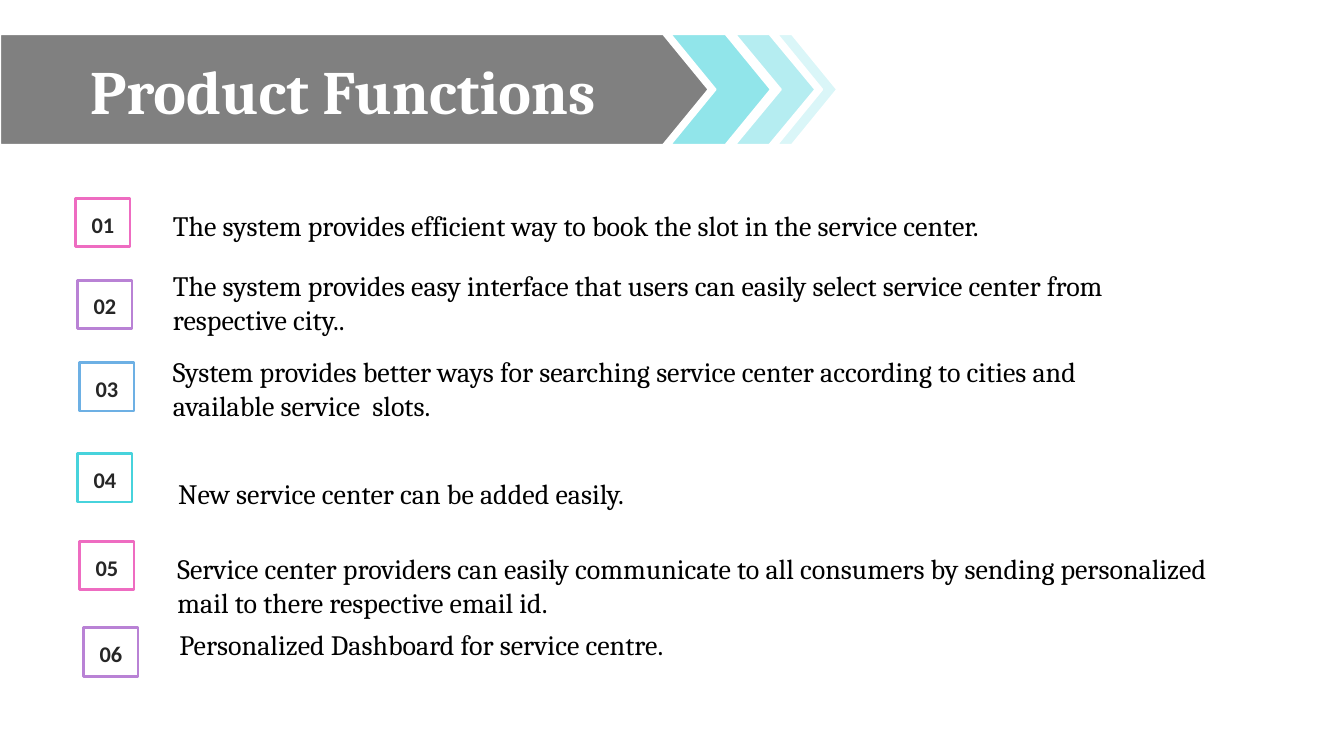
from pptx import Presentation
from pptx.dml.color import RGBColor
from pptx.enum.shapes import MSO_SHAPE
from pptx.enum.text import MSO_ANCHOR, PP_ALIGN
from pptx.util import Cm, Pt

RECT, PENTAGON, CHEVRON = MSO_SHAPE.RECTANGLE, MSO_SHAPE.PENTAGON, MSO_SHAPE.CHEVRON
LEFT, CENTER = PP_ALIGN.LEFT, PP_ALIGN.CENTER
TOP, MIDDLE = MSO_ANCHOR.TOP, MSO_ANCHOR.MIDDLE

# Content
TITLE = "Product Functions"
# left, width, point depth, fill (cm)
CHEVRONS = [
    (18.52, 2.03, 0.57, "B5EDF1"),
    (19.58, 1.52, 0.75, "DAF6F8"),
    (16.89, 2.54, 0.45, "91E5EA"),
]
# text, lines, number box (left, top), text box (left, top, width) in cm
FUNCTIONS = [
    ("The system provides efficient way to book the slot in the service center.",
     1, (1.91, 5.0), (4.11, 5.13, 27.58)),
    ("The system provides easy interface that users can easily select "
     "service center from respective city..",
     2, (1.96, 7.06), (4.11, 6.65, 24.64)),
    ("System provides better ways for searching service center according "
     "to cities and available service  slots.",
     2, (2.01, 9.14), (4.11, 8.81, 24.64)),
    ("New service center can be added easily.",
     1, (1.96, 11.43), (4.24, 11.89, 24.64)),
    ("Service center providers can easily communicate to all consumers by "
     "sending personalized mail to there respective email id.",
     2, (2.01, 13.64), (4.22, 13.77, 27.58)),
    ("Personalized Dashboard for service centre.",
     1, (2.11, 15.82), (4.27, 15.7, 24.64)),
]

# Formats
BOX_COLORS = ["EE6CC1", "B982D5", "6DB0E4", "47D3DC"]
TITLE_FONT = {"name": "Cambria", "size": Pt(44), "bold": True}
NUMBER_FONT = {"name": "Calibri", "size": Pt(16), "bold": True}
BODY_FONT = {"name": "Cambria", "size": Pt(20), "bold": False}
BAND_TOP, BAND_H, BAND_W = 0.86, 2.79, 17.86
BOX_W, BOX_H = 1.37, 1.22
LINE_H, PAD_H = 0.84, 0.28


def rgb(value):
    return RGBColor.from_string(value)


def add_shape(kind, box, fill, line, width, depth=None):
    sp = s.shapes.add_shape(kind, *map(Cm, box))
    sp.shadow.inherit = False
    sp.fill.solid()
    sp.fill.fore_color.rgb = rgb(fill)
    sp.line.color.rgb = rgb(line)
    sp.line.width = Pt(width)
    if depth is not None:
        sp.adjustments[0] = depth
    return sp


def write(sp, text, font, color, align=LEFT, anchor=TOP):
    tf = sp.text_frame
    tf.word_wrap = True
    tf.vertical_anchor = anchor
    p = tf.paragraphs[0]
    p.alignment = align
    r = p.add_run()
    r.text = text
    for key, value in font.items():
        setattr(r.font, key, value)
    r.font.color.rgb = rgb(color)
    return tf


prs = Presentation()
prs.slide_width, prs.slide_height = Cm(33.87), Cm(19.05)
s = prs.slides.add_slide(prs.slide_layouts[6])

# Title band and chevrons
band = add_shape(PENTAGON, (0, BAND_TOP, BAND_W, BAND_H), "808080", "FFFFFF", 1.5, 0.41)
write(band, TITLE, TITLE_FONT, "FFFFFF", CENTER, MIDDLE)
for left, width, depth, fill in CHEVRONS:
    add_shape(CHEVRON, (left, BAND_TOP, width, BAND_H), fill, "FFFFFF", 1.5, depth)

# Numbered functions
for i, (text, lines, box_at, (left, top, width)) in enumerate(FUNCTIONS):
    color = BOX_COLORS[i % len(BOX_COLORS)]
    box = add_shape(RECT, (*box_at, BOX_W, BOX_H), "FFFFFF", color, 2)
    tf = write(box, f"{i + 1:02}", NUMBER_FONT, "262626", CENTER, MIDDLE)
    tf.margin_left = tf.margin_right = tf.margin_bottom = 0
    tf.margin_top = Cm(0.08)

    body = s.shapes.add_textbox(*map(Cm, (left, top, width, PAD_H + lines * LINE_H)))
    write(body, text, BODY_FONT, "000000")

prs.save("out.pptx")
